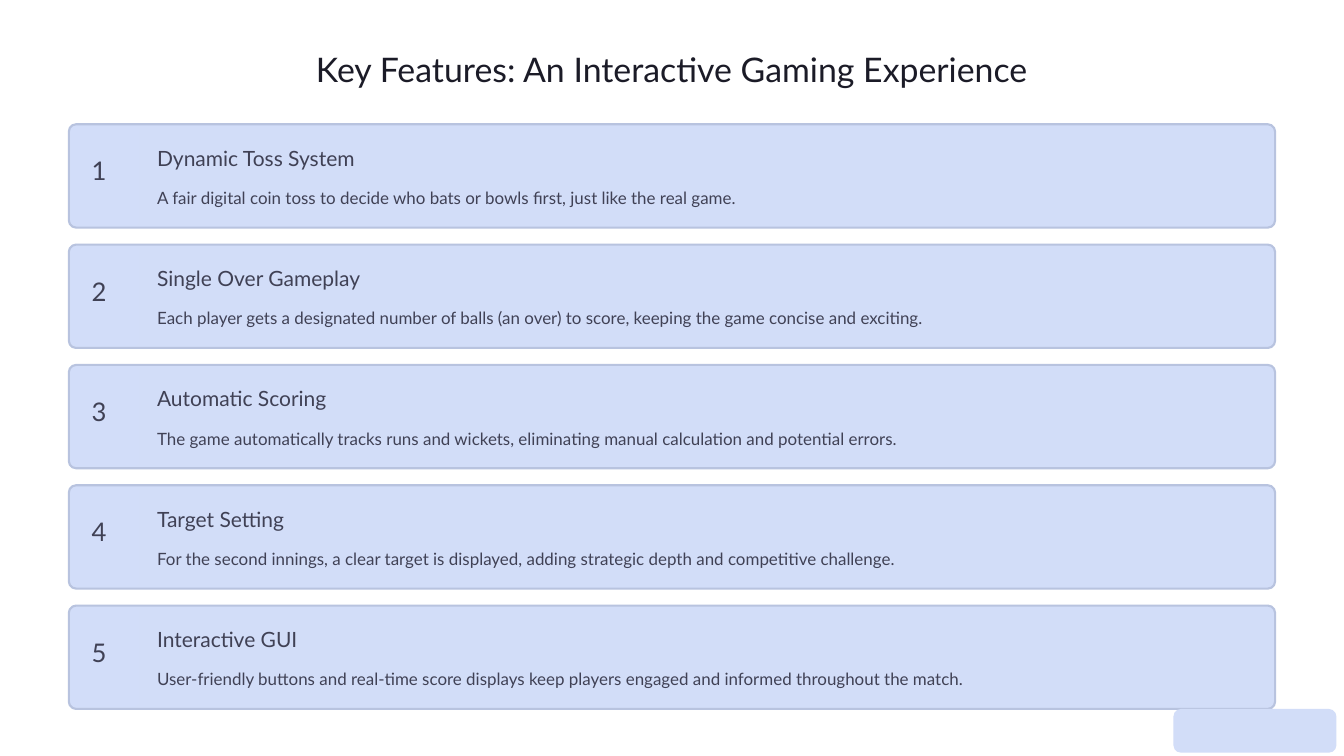
from dataclasses import dataclass

from pptx import Presentation
from pptx.dml.color import RGBColor as Color
from pptx.enum.shapes import MSO_SHAPE as Shape
from pptx.enum.text import MSO_ANCHOR as Anchor, PP_ALIGN as Align
from pptx.util import Inches, Pt


@dataclass(frozen=True)
class TextStyle:
    """Size, line spacing and colour of one kind of text."""
    size: float
    leading: float
    color: str = "404155"


@dataclass(frozen=True)
class Theme:
    """Colours and type styles of the slide."""
    font: str = "Lato"
    card: str = "D2DDF8"
    badge: str = "D2DDF9"
    border: str = "B8C3DF"
    border_width: float = 1.8
    title: TextStyle = TextStyle(29, 36.5, "1B1B27")
    number: TextStyle = TextStyle(22, 22)
    heading: TextStyle = TextStyle(18, 23)
    detail: TextStyle = TextStyle(14.5, 23.5)


THEME = Theme()
WIDTH, HEIGHT = 16, 9
MARGIN = 0.82
CARD_HEIGHT = 1.23
FIRST_TOP, LAST_TOP = 1.48, 7.21
TITLE = "Key Features: An Interactive Gaming Experience"
FEATURES = [
    ("Dynamic Toss System",
     "A fair digital coin toss to decide who bats or bowls first, just like the real game."),
    ("Single Over Gameplay",
     "Each player gets a designated number of balls (an over) to score, keeping the game concise and exciting."),
    ("Automatic Scoring",
     "The game automatically tracks runs and wickets, eliminating manual calculation and potential errors."),
    ("Target Setting",
     "For the second innings, a clear target is displayed, adding strategic depth and competitive challenge."),
    ("Interactive GUI",
     "User-friendly buttons and real-time score displays keep players engaged and informed throughout the match."),
]


def write(shape, text, style, align=Align.LEFT):
    """Fill a shape with one styled paragraph and no insets."""
    frame = shape.text_frame
    frame.margin_left = frame.margin_right = frame.margin_top = frame.margin_bottom = 0
    frame.word_wrap = True
    frame.vertical_anchor = Anchor.TOP
    para = frame.paragraphs[0]
    para.text = text
    para.alignment = align
    para.line_spacing = Pt(style.leading)
    para.font.name = THEME.font
    para.font.size = Pt(style.size)
    para.font.bold = False
    para.font.color.rgb = Color.from_string(style.color)


def add_text(page, box, text, style):
    """Add a text box at left, top, width, height in inches."""
    write(page.shapes.add_textbox(*map(Inches, box)), text, style)


def add_panel(page, box, fill, rounding, border=None):
    """Add a rounded rectangle, outlined if a border colour is given."""
    panel = page.shapes.add_shape(Shape.ROUNDED_RECTANGLE, *map(Inches, box))
    panel.adjustments[0] = rounding
    panel.shadow.inherit = False
    panel.fill.solid()
    panel.fill.fore_color.rgb = Color.from_string(fill)
    if border:
        panel.line.color.rgb = Color.from_string(border)
        panel.line.width = Pt(THEME.border_width)
    else:
        panel.line.fill.background()


def add_title(page, box):
    """Place the title placeholder in its box."""
    title = page.shapes.title
    title.left, title.top, title.width, title.height = map(Inches, box)
    write(title, TITLE, THEME.title, Align.CENTER)


def add_card(page, box, number, heading, detail):
    """Draw one numbered feature card inside its box."""
    left, top, width, height = box
    text_left = left + 1.05
    text_width = width - 1.07
    add_panel(page, box, THEME.card, 0.07, THEME.border)
    add_panel(page, (left + 0.02, top + 0.025, 0.82, height - 0.05), THEME.badge, 0.07)
    add_text(page, (left + 0.27, top + 0.43, 0.31, 0.38), str(number), THEME.number)
    add_text(page, (text_left, top + 0.23, 2.8, 0.32), heading, THEME.heading)
    add_text(page, (text_left, top + 0.67, text_width, 0.33), detail, THEME.detail)


def add_cards(page):
    """Stack the feature cards at equal steps."""
    step = (LAST_TOP - FIRST_TOP) / (len(FEATURES) - 1)
    for index, (heading, detail) in enumerate(FEATURES):
        box = (MARGIN, FIRST_TOP + index * step, WIDTH - 2 * MARGIN, CARD_HEIGHT)
        add_card(page, box, index + 1, heading, detail)


def main():
    """Build and save the slide."""
    deck = Presentation()
    deck.slide_width, deck.slide_height = Inches(WIDTH), Inches(HEIGHT)
    page = deck.slides.add_slide(deck.slide_layouts[5])
    add_title(page, (3.13, 0.56, 9.74, 0.51))
    add_cards(page)
    add_panel(page, (13.97, LAST_TOP + CARD_HEIGHT, 1.94, 0.52), THEME.card, 0.17)
    deck.save("out.pptx")


if __name__ == "__main__":
    main()
